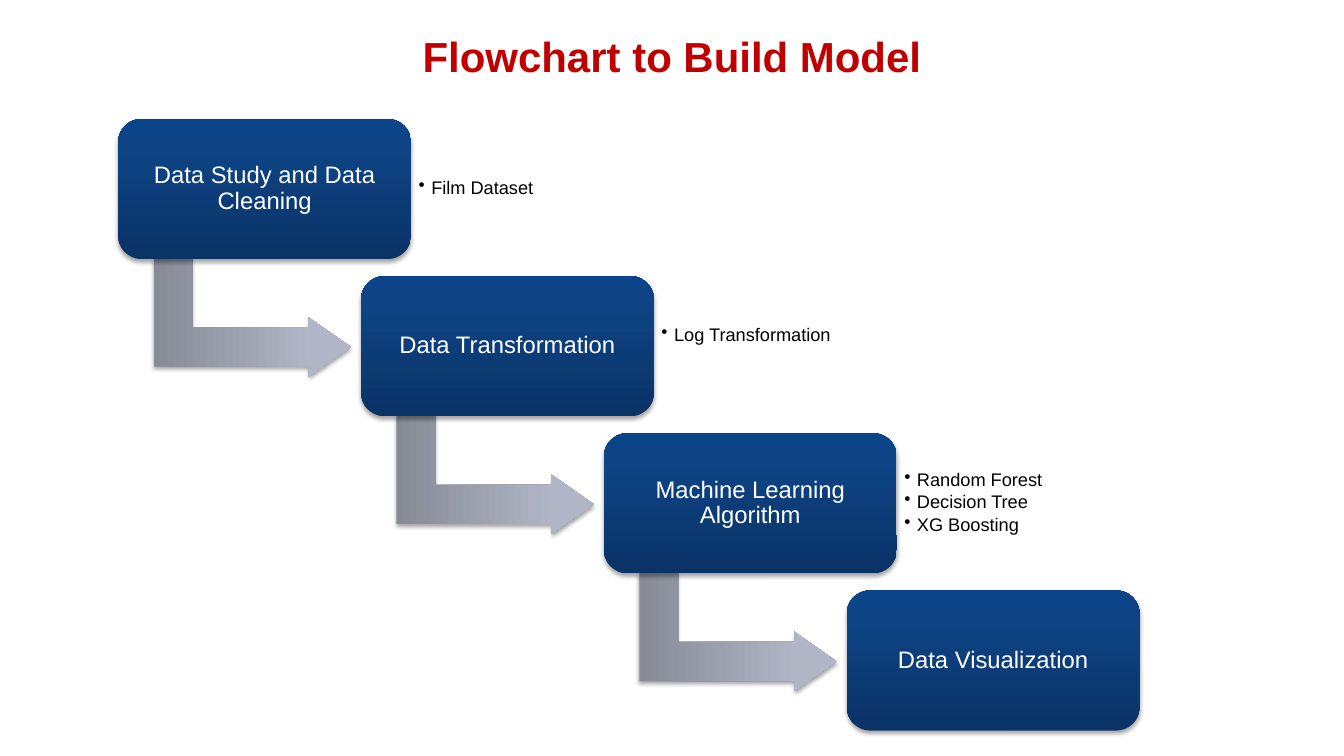
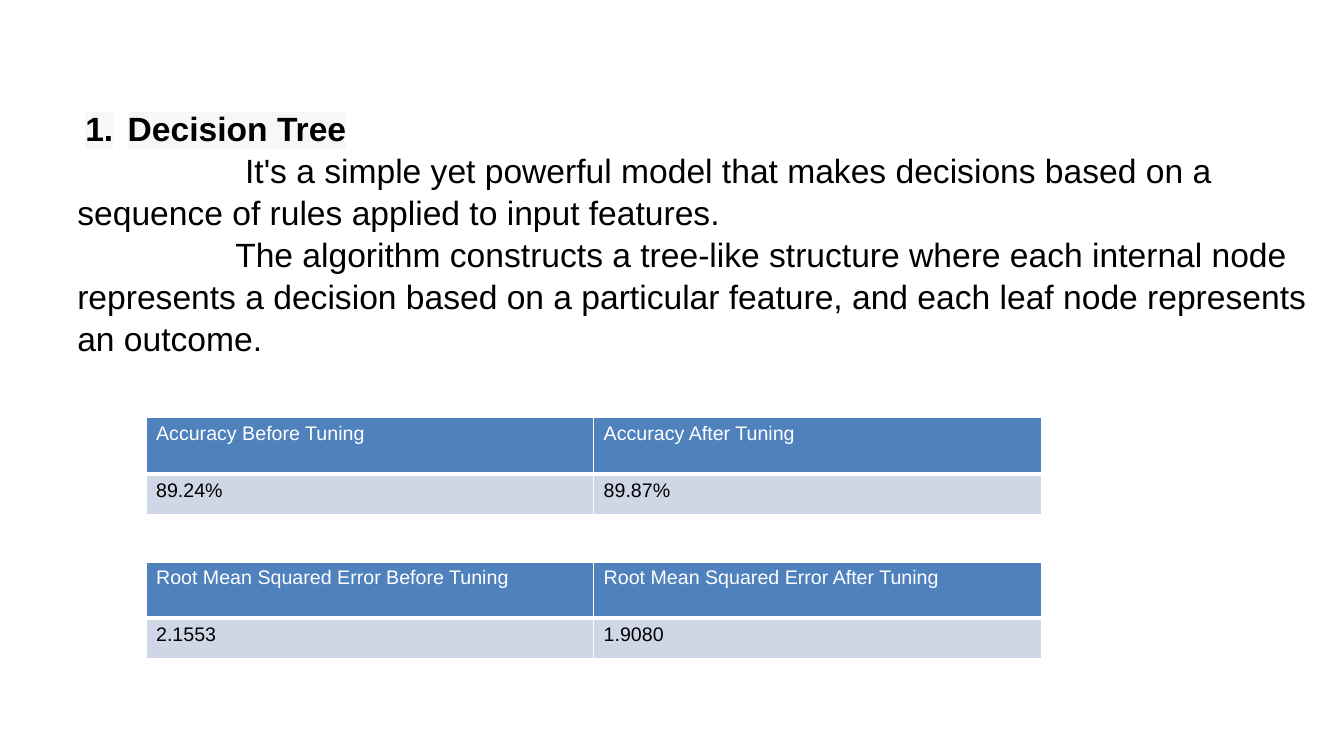
from lxml.etree import SubElement
from pptx import Presentation
from pptx.dml.color import RGBColor
from pptx.enum.shapes import MSO_SHAPE
from pptx.enum.text import MSO_ANCHOR, PP_ALIGN
from pptx.oxml import parse_xml
from pptx.oxml.ns import nsdecls, qn
from pptx.util import Cm, Pt

HUES = {"title": "C00000", "ink": "000000", "white": "FFFFFF",
        "head": "4F81BD", "row": "CFD7E7", "mark": "F7F7F8"}
FADES = {"step": ("0A3366", "0E4485", "0B4489"),
         "arrow": ("878B96", "B1B6C6", "B2B7C7")}
FONTS = {
    "title": ("title", {"size": Pt(30), "bold": True}),
    "step": ("white", {"size": Pt(17), "bold": False}),
    "note": ("ink", {"size": Pt(13), "bold": False}),
    "lead": ("ink", {"size": Pt(24), "bold": True}),
    "body": ("ink", {"size": Pt(24), "bold": False}),
    "head": ("white", {"size": Pt(14), "bold": False}),
    "row": ("ink", {"size": Pt(14), "bold": False}),
}
PARAS = {
    "title": {"alignment": PP_ALIGN.CENTER},
    "step": {"alignment": PP_ALIGN.CENTER, "line_spacing": 0.9},
    "note": {"line_spacing": 0.9, "space_before": Pt(1.9)},
    "lead": {"line_spacing": 1.04},
    "body": {"line_spacing": 1.04},
}


def apply(item, vals):
    for name, val in vals.items():
        setattr(item, name, val)


class Deck:
    """Holds the shared style and the current slide."""

    def __init__(self):
        self.prs = Presentation()
        apply(self.prs, {"slide_width": Cm(33.87), "slide_height": Cm(19.05)})

    def page(self):
        self.slide = self.prs.slides.add_slide(self.prs.slide_layouts[6])

    def frame(self, frame, pad, anchor):
        apply(frame, {"word_wrap": True, "vertical_anchor": anchor,
                      "margin_left": Cm(pad), "margin_right": Cm(pad),
                      "margin_top": Cm(0.13), "margin_bottom": Cm(0.13)})
        return frame

    def box(self, x, y, w, h, pad=0.25, anchor=MSO_ANCHOR.MIDDLE):
        shape = self.slide.shapes.add_textbox(Cm(x), Cm(y), Cm(w), Cm(h))
        return self.frame(shape.text_frame, pad, anchor)

    def label(self, para, text, style):
        hue, vals = FONTS[style]
        apply(para, PARAS.get(style, {}))
        run = para.add_run()
        run.text = text
        apply(run.font, {"name": "Arial", **vals})
        run.font.color.rgb = RGBColor.from_string(HUES[hue])
        return run

    def lines(self, frame, texts, style):
        for i, text in enumerate(texts):
            para = frame.add_paragraph() if i else frame.paragraphs[0]
            self.label(para, text, style)

    def indent(self, para, left, first, kind=None, **vals):
        props = para._p.get_or_add_pPr()
        props.set("marL", str(Cm(left)))
        props.set("indent", str(Cm(first)))
        if kind:
            SubElement(props, qn(kind), vals)

    def title(self, text):
        self.lines(self.box(1.7, 0.5, 30.48, 1.8), [text], "title")

    def shape(self, kind, x, y, w, h, fade, adjust):
        shape = self.slide.shapes.add_shape(kind, Cm(x), Cm(y), Cm(w), Cm(h))
        for i, val in enumerate(adjust):
            shape.adjustments[i] = val
        stops = "".join(
            f'<a:gs pos="{pos}"><a:srgbClr val="{hue}"/></a:gs>'
            for pos, hue in zip((0, 80000, 100000), FADES[fade]))
        props = shape._element.spPr
        props.append(parse_xml(
            f'<a:gradFill {nsdecls("a")} rotWithShape="1"><a:gsLst>{stops}'
            '</a:gsLst><a:lin ang="16200000" scaled="0"/></a:gradFill>'))
        shape.line.fill.background()
        props.append(parse_xml(
            f'<a:effectLst {nsdecls("a")}><a:outerShdw blurRad="40000" '
            'dist="23000" dir="5400000" rotWithShape="0">'
            '<a:srgbClr val="000000"><a:alpha val="35000"/></a:srgbClr>'
            '</a:outerShdw></a:effectLst>'))
        return shape

    def arrow(self, x, y):
        shape = self.shape(MSO_SHAPE.BENT_UP_ARROW, x, y, 3, 4.98,
                           "arrow", (0.328, 0.25, 0.358))
        shape.rotation = 90

    def step(self, x, y, text):
        shape = self.shape(MSO_SHAPE.ROUNDED_RECTANGLE, x, y, 7.38, 3.53,
                           "step", (0.167,))
        frame = self.frame(shape.text_frame, 0.25, MSO_ANCHOR.MIDDLE)
        self.lines(frame, [text], "step")

    def notes(self, x, y, texts):
        frame = self.box(x, y, 5.36, 2.84, pad=0.18)
        self.lines(frame, texts, "note")
        for para in frame.paragraphs:
            self.indent(para, 0.32, -0.32, "a:buChar", char="•")

    def story(self, lead, parts):
        frame = self.box(1.7, 2.56, 31.47, 6.5, anchor=MSO_ANCHOR.TOP)
        para = frame.paragraphs[0]
        run = self.label(para, lead, "lead")
        self.indent(para, 1.27, -1.07, "a:buAutoNum", type="arabicPeriod")
        mark = parse_xml(f'<a:highlight {nsdecls("a")}><a:srgbClr '
                         f'val="{HUES["mark"]}"/></a:highlight>')
        run._r.rPr.find(qn("a:solidFill")).addnext(mark)
        for first, text in parts:
            para = frame.add_paragraph()
            self.label(para, text, "body")
            self.indent(para, 0, first)

    def edge(self, cell, side, width):
        cell._tc.get_or_add_tcPr().append(parse_xml(
            f'<a:ln{side} {nsdecls("a")} w="{Pt(width)}"><a:solidFill>'
            f'<a:srgbClr val="{HUES["white"]}"/></a:solidFill></a:ln{side}>'))

    def table(self, x, y, data):
        highs = (1.42, 1.02)
        table = self.slide.shapes.add_table(
            2, 2, Cm(x), Cm(y), Cm(22.56), Cm(sum(highs))).table
        for r, (style, texts) in enumerate(zip(("head", "row"), data)):
            table.rows[r].height = Cm(highs[r])
            for c, text in enumerate(texts):
                cell = table.cell(r, c)
                for side in "LRTB":
                    thick = (r, side) in ((0, "B"), (1, "T"))
                    self.edge(cell, side, 3 if thick else 1)
                cell.fill.solid()
                cell.fill.fore_color.rgb = RGBColor.from_string(HUES[style])
                self.label(cell.text_frame.paragraphs[0], text, style)


def main():
    deck = Deck()
    deck.page()
    deck.title("Flowchart to Build Model")
    steps = [
        ("Data Study and Data Cleaning", ["Film Dataset"], 0),
        ("Data Transformation", ["Log Transformation"], 0.25),
        ("Machine Learning Algorithm",
         ["Random Forest", "Decision Tree", "XG Boosting"], 0),
        ("Data Visualization", [], 0),
    ]
    for i, (text, notes, lift) in enumerate(steps):
        x, y = 2.98 + 6.12 * i, 3 + 3.96 * i
        if i < len(steps) - 1:
            deck.arrow(x + 1.88, y + 2.51)
        deck.step(x, y, text)
        if notes:
            deck.notes(x + 7.39, y + 0.33 - lift, notes)

    deck.page()
    deck.story("Decision Tree", [
        (4.23, "It's a simple yet powerful model that makes decisions based "
               "on a sequence of rules applied to input features."),
        (3.98, "The algorithm constructs a tree-like structure where each "
               "internal node represents a decision based on a particular "
               "feature, and each leaf node represents an outcome."),
    ])
    scores = [("Accuracy", ("89.24%", "89.87%")),
              ("Root Mean Squared Error", ("2.1553", "1.9080"))]
    for i, (name, vals) in enumerate(scores):
        heads = [f"{name} {when} Tuning" for when in ("Before", "After")]
        deck.table(3.68, 10.53 + 3.63 * i, (heads, vals))
    deck.prs.save("out.pptx")


if __name__ == "__main__":
    main()
